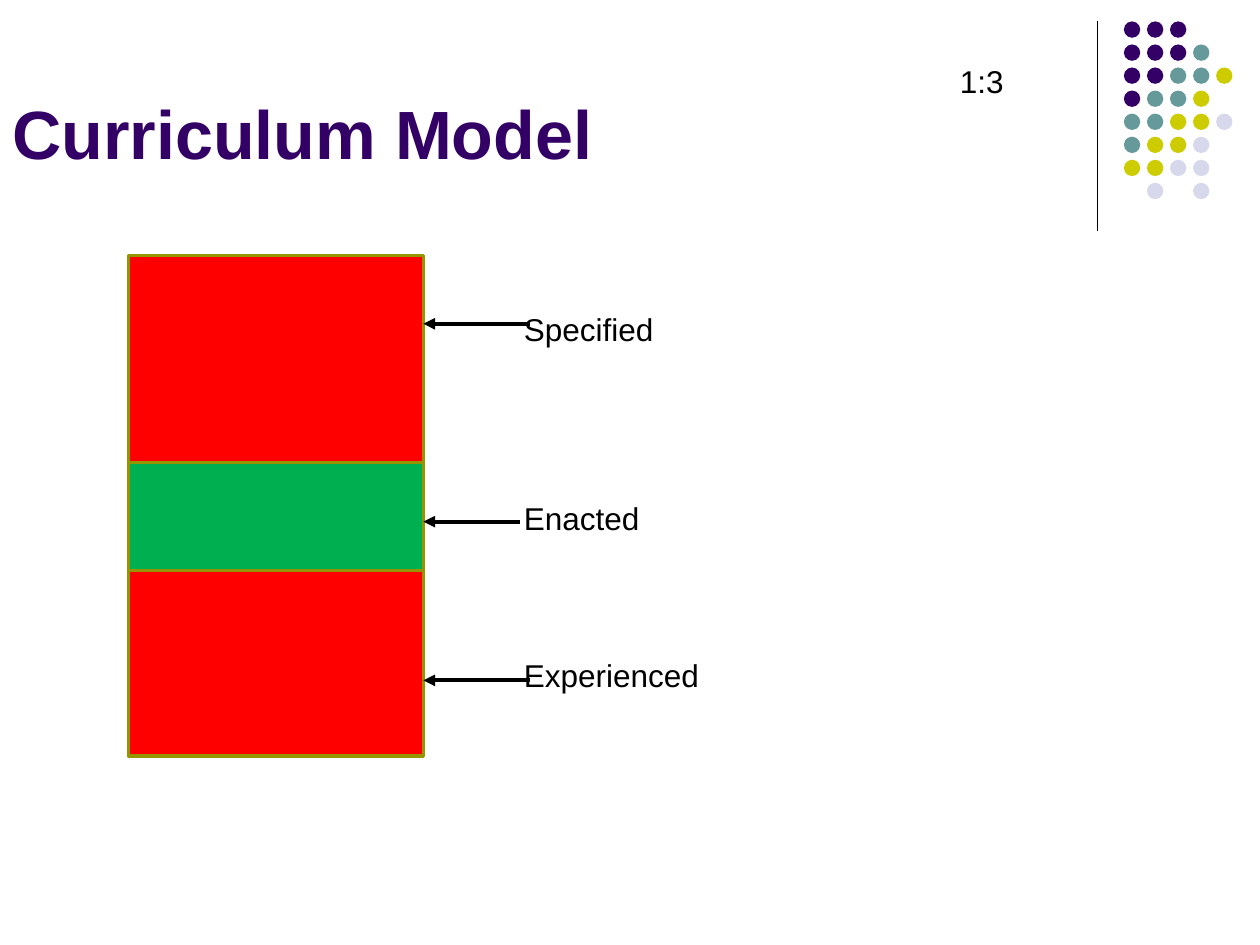
import pptx
import pptx.util
import pptx.dml.color
import pptx.enum.shapes
import pptx.enum.text
import lxml.etree
import pptx.oxml.ns

Inches, Pt = pptx.util.Inches, pptx.util.Pt
SHAPES = pptx.enum.shapes.MSO_SHAPE
qn = pptx.oxml.ns.qn

presentation = pptx.Presentation()
presentation.slide_width, presentation.slide_height = Inches(10), Inches(7.5)
slide = presentation.slides.add_slide(presentation.slide_layouts[6])


def color(hex_string):
    return pptx.dml.color.RGBColor.from_string(hex_string)


def add_text(text, left, top, width, height, size, ink="000000", bold=False):
    box = slide.shapes.add_textbox(*map(Inches, (left, top, width, height)))
    frame = box.text_frame
    frame.word_wrap = True
    paragraph = frame.paragraphs[0]
    paragraph.text = text
    paragraph.font.name, paragraph.font.size = "Arial", Pt(size)
    paragraph.font.bold = bold
    paragraph.font.color.rgb = color(ink)
    return frame


# Dot grid in the corner: one letter per dot colour
dot_colors = {"P": "330066", "T": "669999", "Y": "CCCC00", "L": "D8D8EC"}
dot_rows = ["PPP", "PPPT", "PPTTY", "PTTY", "TTYYL", "TYYL", "YYLL", " L L"]
dot_left, dot_top, dot_pitch, dot_size = 8.92, 0.17, 0.183, 0.13
for row, letters in enumerate(dot_rows):
    for column, letter in enumerate(letters):
        if letter == " ":
            continue
        dot = slide.shapes.add_shape(
            SHAPES.OVAL, Inches(dot_left + column * dot_pitch),
            Inches(dot_top + row * dot_pitch), Inches(dot_size), Inches(dot_size))
        dot.shadow.inherit = False
        dot.fill.solid()
        dot.fill.fore_color.rgb = color(dot_colors[letter])
        dot.line.fill.background()

# Title and page mark
title = add_text("Curriculum Model", 0, 0, 8.25, 1.42, 39, "330066", True)
title.vertical_anchor = pptx.enum.text.MSO_ANCHOR.BOTTOM
add_text("1:3", 7.52, 0.44, 0.62, 0.4, 18)

# Stacked blocks
block_left, block_width = 1.02, 2.34
blocks = []
for top, height, fill in [(2.03, 1.64, "FF0000"), (3.67, 0.94, "00B050"),
                          (4.53, 1.47, "FF0000")]:
    block = slide.shapes.add_shape(SHAPES.RECTANGLE, Inches(block_left), Inches(top),
                                   Inches(block_width), Inches(height))
    block.shadow.inherit = False
    block.fill.solid()
    block.fill.fore_color.rgb = color(fill)
    block.line.color.rgb = color("959500")
    block.line.width = Pt(2)
    blocks.append(block)

# Block labels
for label, top, width in [("Specified", 2.41, 1.8), ("Enacted", 3.91, 1.25),
                          ("Experienced", 5.16, 1.87)]:
    add_text(label, 4.06, top, width, 0.4, 18)

# Corner rule and the arrows from labels to blocks
block_right = block_left + block_width
for x1, y1, x2, y2, weight, target in [
        (8.71, 0.17, 8.71, 1.83, 0.75, None),
        (4.21, 2.57, block_right, 2.57, 2.25, blocks[0]),
        (4.13, 4.14, block_right, 4.14, 2.25, blocks[1]),
        (4.21, 5.4, block_right, 5.4, 2.25, blocks[2])]:
    line = slide.shapes.add_connector(pptx.enum.shapes.MSO_CONNECTOR.STRAIGHT,
                                      *map(Inches, (x1, y1, x2, y2)))
    line.line.color.rgb = color("000000")
    line.line.width = Pt(weight)
    properties = line._element.spPr
    if target is not None:
        outline = properties.find(qn("a:ln"))
        lxml.etree.SubElement(outline, qn("a:tailEnd"), type="triangle")
    if target is blocks[1]:
        line.end_connect(target, 3)
    lxml.etree.SubElement(properties, qn("a:effectLst"))

presentation.save("out.pptx")
